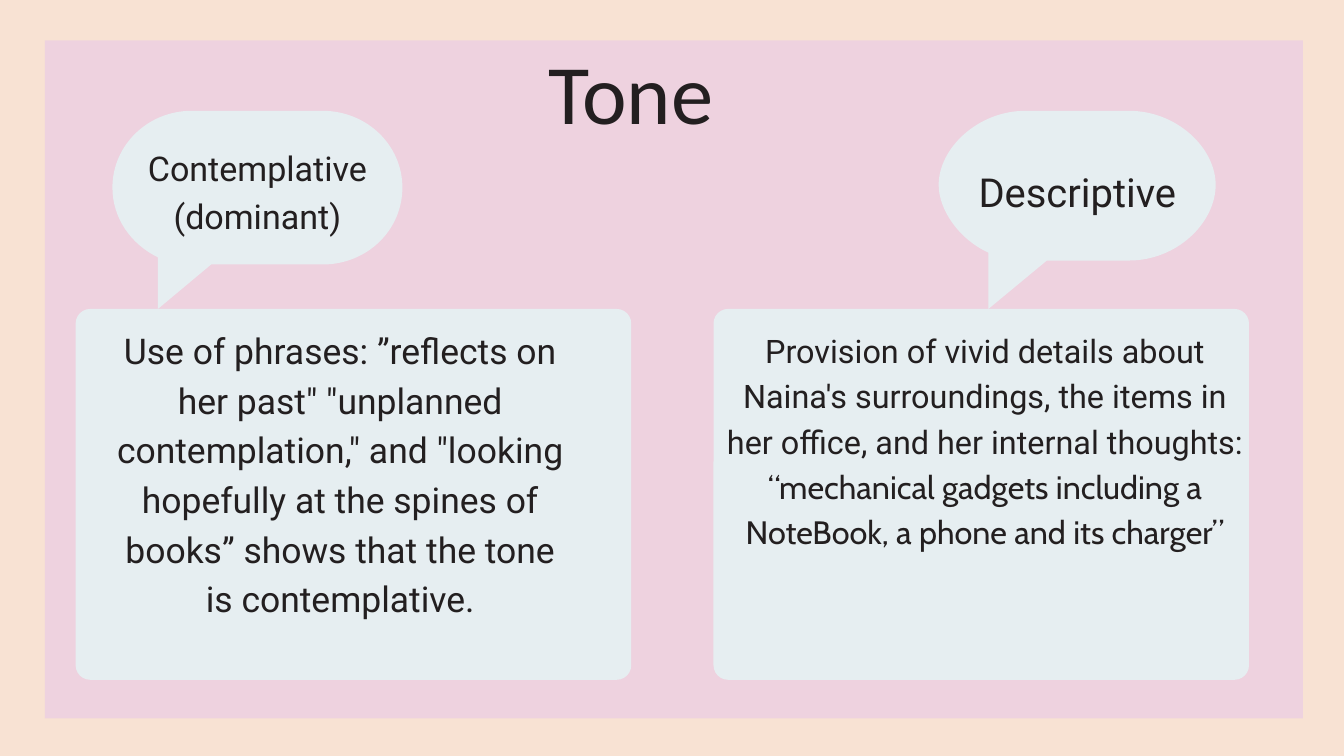
from pptx import Presentation
from pptx.dml.color import RGBColor
from pptx.enum.shapes import MSO_SHAPE as SHAPE
from pptx.enum.text import MSO_ANCHOR as ANCHOR, MSO_AUTO_SIZE as AUTO, PP_ALIGN as ALIGN
from pptx.oxml.ns import qn
from pptx.util import Cm, Pt
from lxml import etree

PEACH = RGBColor(0xF8, 0xE2, 0xD3)
PINK = RGBColor(0xE8, 0xC8, 0xE8)
ICE = RGBColor(0xE6, 0xEE, 0xF1)
INK = RGBColor(0x23, 0x1F, 0x20)

BUBBLE_TOP, TAIL_TIP = 4.19, 11.68
CARD_TOP, CARD_HEIGHT, CARD_RADIUS = 11.68, 14.02, 0.55


def paint(sp, color):
    """Give a shape a flat fill without line or shadow."""
    sp.shadow.inherit = False
    sp.fill.solid()
    sp.fill.fore_color.rgb = color
    sp.line.fill.background()


def add_panel(s):
    """Add the translucent pink panel."""
    sp = s.shapes.add_shape(SHAPE.RECTANGLE, Cm(1.7), Cm(1.53), Cm(47.55), Cm(25.63))
    paint(sp, PINK)
    color = sp._element.spPr.find(qn("a:solidFill"))[0]
    etree.SubElement(color, qn("a:alpha")).set("val", "59000")


def add_card(s, left, width):
    """Add a rounded card."""
    sp = s.shapes.add_shape(SHAPE.ROUNDED_RECTANGLE, Cm(left), Cm(CARD_TOP),
                            Cm(width), Cm(CARD_HEIGHT))
    sp.adjustments[0] = CARD_RADIUS / CARD_HEIGHT
    paint(sp, ICE)


def add_outline(s, start, segments):
    """Add a closed freeform; a segment of three points is a cubic curve."""
    builder = s.shapes.build_freeform(Cm(start[0]), Cm(start[1]))
    builder.add_line_segments([(Cm(x), Cm(y)) for *_, (x, y) in segments], close=True)
    sp = builder.convert_to_shape()
    lines = list(sp._element.iter(qn("a:lnTo")))
    for line, segment in zip(lines, segments):
        if len(segment) == 3:
            bezier = etree.Element(qn("a:cubicBezTo"))
            for x, y in segment:
                pt = etree.SubElement(bezier, qn("a:pt"))
                pt.set("x", str(Cm(x) - sp.left))
                pt.set("y", str(Cm(y) - sp.top))
            line.getparent().replace(line, bezier)
    paint(sp, ICE)


def add_bubble(s, xs, mid, bottom, left_ctrl, tail, tail_right, right_ctrl):
    """Add a speech bubble with its tail at the lower left."""
    left, inner_left, inner_right, right = xs
    (top_x, low_left, low_right), (tail_x, tail_y) = left_ctrl, tail
    right_x, high, low = right_ctrl
    start = (inner_right, BUBBLE_TOP)
    add_outline(s, start, [
        [(inner_left, BUBBLE_TOP)],
        [(top_x, BUBBLE_TOP), (left, high), (left, mid)],
        [(left, low_left), (low_right, tail_y - 0.5), tail],
        [(tail_x, TAIL_TIP)],
        [(tail_right, bottom)],
        [(inner_right, bottom)],
        [(right_x, bottom), (right, low), (right, mid)],
        [(right, high), (right_x, BUBBLE_TOP), start],
    ])


def set_text(sp, box, lines, size, spacing, fonts):
    """Place a text shape and fill it with centred paragraphs."""
    sp.left, sp.top, sp.width, sp.height = (Cm(v) for v in box)
    tf = sp.text_frame
    tf.text = "\n".join(lines)
    tf.word_wrap = True
    tf.auto_size = AUTO.NONE
    tf.vertical_anchor = ANCHOR.TOP
    tf.margin_left = tf.margin_top = tf.margin_right = tf.margin_bottom = 0
    for p, font in zip(tf.paragraphs, fonts):
        p.alignment = ALIGN.CENTER
        p.line_spacing = Pt(spacing)
        for r in p.runs:
            r.font.size = Pt(size)
            r.font.name = font
            r.font.color.rgb = INK


def add_text(s, box, lines, size, spacing, fonts=("Roboto", "Roboto")):
    """Add a text box."""
    sp = s.shapes.add_textbox(0, 0, 0, 0)
    set_text(sp, box, lines, size, spacing, fonts)


def add_title(s):
    """Format the title and bring it in front of the panel."""
    title = s.shapes.title
    set_text(title, (16.56, 2.16, 14.58, 3.35), ["Tone"], 90.5, 90.5, ["Calibri"])
    title._element.getparent().append(title._element)


def main():
    """Build the slide."""
    prs = Presentation()
    prs.slide_width, prs.slide_height = Cm(50.8), Cm(28.58)
    s = prs.slides.add_slide(prs.slide_layouts[5])
    s.background.fill.solid()
    s.background.fill.fore_color.rgb = PEACH

    add_panel(s)
    add_bubble(s, (35.48, 38.76, 42.67, 45.95), 6.99, 9.85,
               (36.96, 7.93, 36.25), (37.36, 9.55), 39.57, (44.5, 5.61, 8.41))
    add_bubble(s, (4.25, 7.24, 12.19, 15.21), 7.09, 10,
               (5.59, 8.25, 4.95), (5.97, 9.73), 7.98, (13.87, 5.49, 8.71))
    add_card(s, 2.86, 21)

    add_title(s)
    add_text(s, (4.7, 5.33, 10.06, 3.53), ["Contemplative", "(dominant)"], 36.5, 51.1)
    add_text(s, (36.37, 5.99, 8.71, 2.03), ["Descriptive"], 42.8, 61.3)
    add_card(s, 26.97, 20.24)
    add_text(s, (4.24, 12.17, 17.25, 14.99),
             ["Use of phrases: ”reflects on her past\" \"unplanned contemplation,\" and "
              "\"looking hopefully at the spines of books” shows that the tone is "
              "contemplative."], 38, 53.2)
    add_text(s, (27.25, 12.27, 19.96, 13.46),
             ["Provision of vivid details about Naina's surroundings, the items in her "
              "office, and her internal thoughts:",
              "“mechanical gadgets including a NoteBook, a phone and its charger”"],
             34.7, 48.6, ("Roboto", "Cabin"))
    prs.save("out.pptx")


if __name__ == "__main__":
    main()
